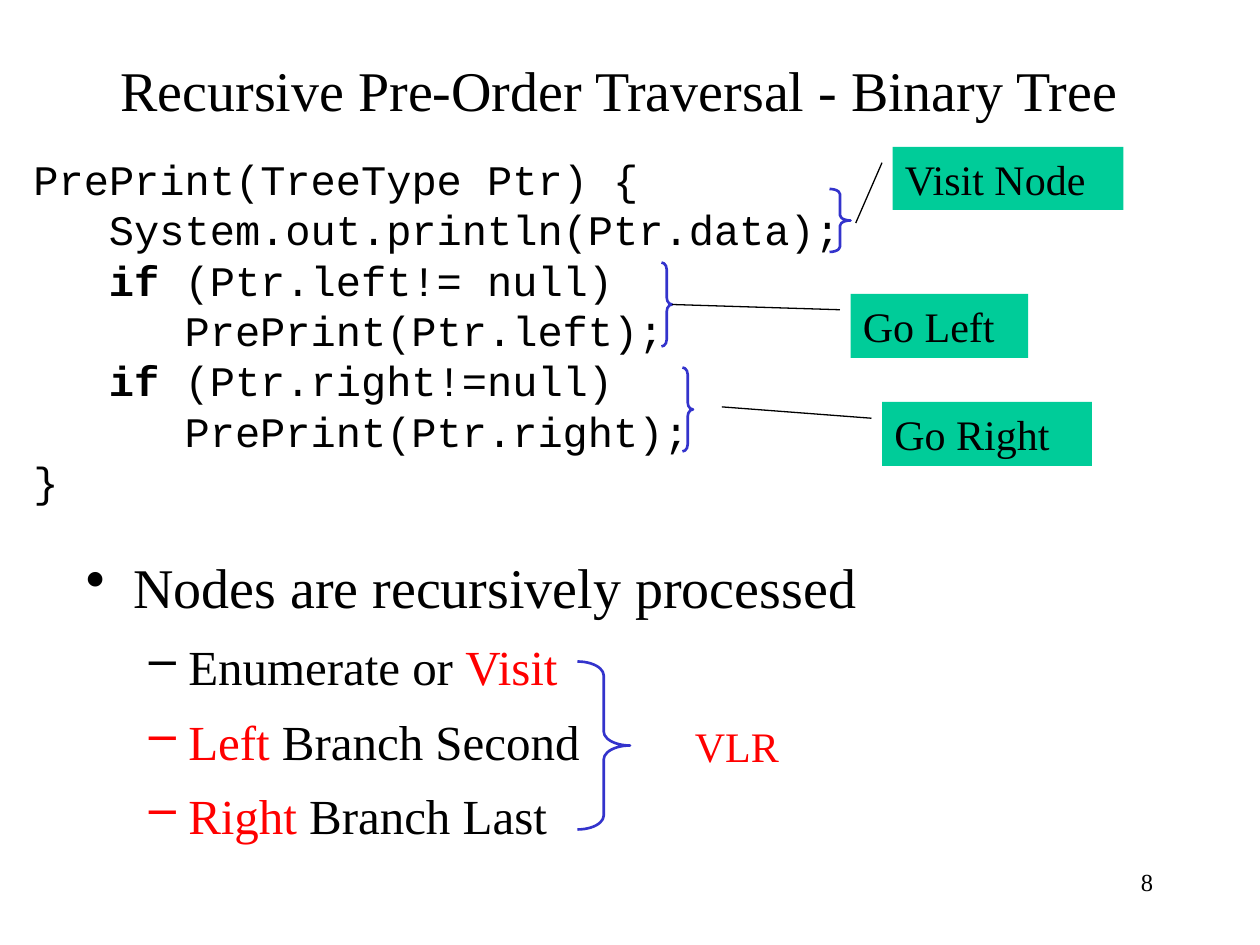
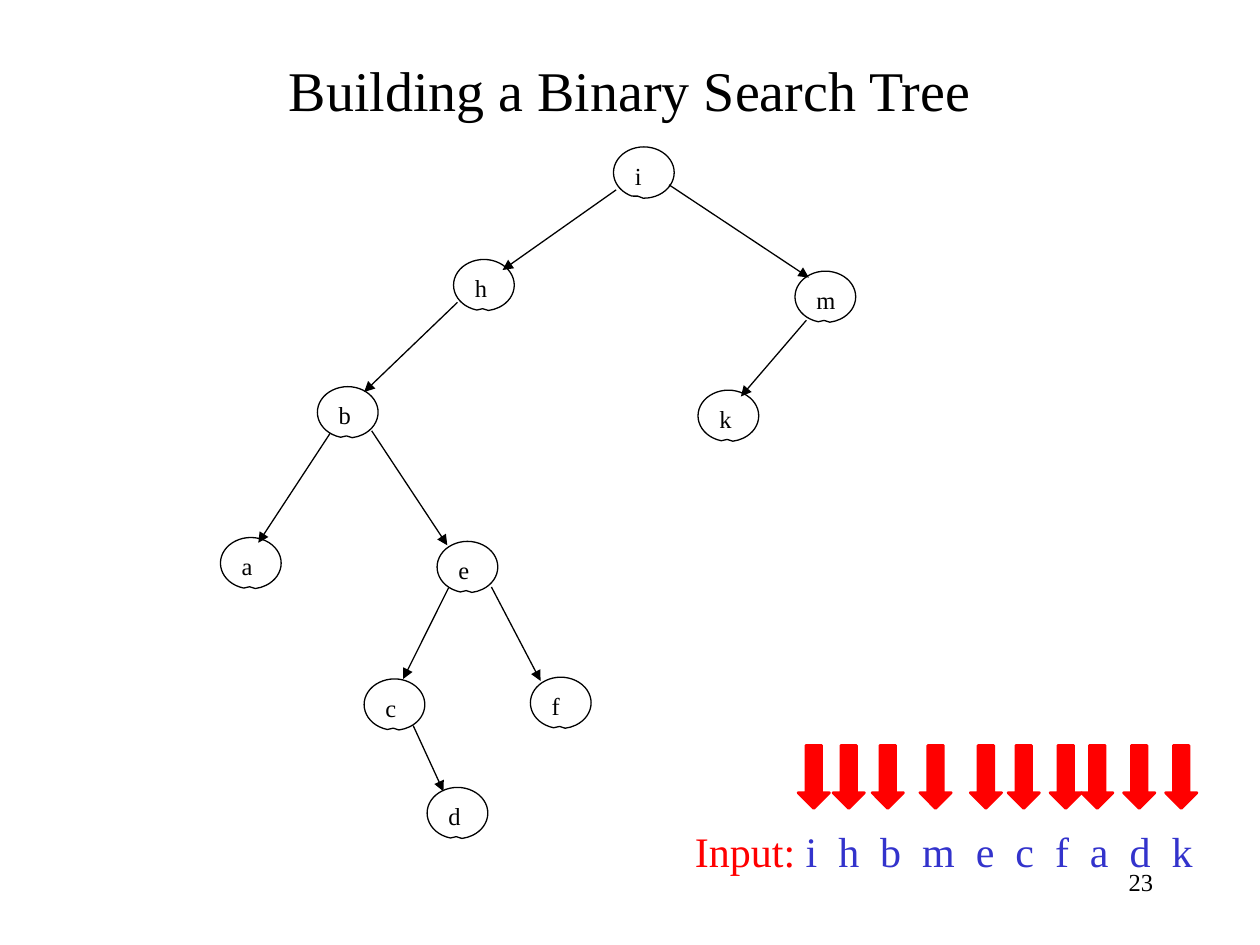
from lxml import etree
from pptx import Presentation
from pptx.dml.color import RGBColor
from pptx.enum import shapes, text
from pptx.oxml import ns
from pptx.util import Pt

BLACK = RGBColor(0x00, 0x00, 0x00)
WHITE = RGBColor(0xFF, 0xFF, 0xFF)
RED = RGBColor(0xFF, 0x00, 0x00)
BLUE = RGBColor(0x33, 0x33, 0xCC)
GREEN = RGBColor(0x00, 0xCC, 0x99)
SERIF, MONO = "Times New Roman", "Courier New"
SHAPE = shapes.MSO_SHAPE

CODE_CHAR = 14.4  # width of one 24 pt monospaced character
CODE = [  # indent in characters, runs
    (0, ["PrePrint(TreeType Ptr) {"]),
    (3, ["System.out.println(Ptr.data);"]),
    (3, [("if", {"bold": True}), " (Ptr.left!= null)"]),
    (6, ["PrePrint(Ptr.left);"]),
    (3, [("if", {"bold": True}), " (Ptr.right!=null)"]),
    (6, ["PrePrint(Ptr.right);"]),
    (0, ["}"]),
]
CODE_BRACES = [(366, 66, 6, 48), (462, 24, 12, 36), (378, 126, 6, 48)]
CODE_LABELS = [  # text, box, pointer line; all relative to the code box
    ("Go Left", (474, 84, 101.5, 36.5), (372, 90, 468, 93)),
    ("Go Right", (492, 145.7, 120, 36.5), (400.5, 148.5, 486, 155)),
    ("Visit Node", (498, 0, 132, 36), (477, 43.5, 492, 9)),
]
BRANCHES = [
    ["Enumerate or ", ("Visit", {"color": RED})],
    [("Left", {"color": RED}), " Branch Second"],
    [("Right", {"color": RED}), " Branch Last"],
]

NODE_W, NODE_H = 34.7, 29.3
NODES = {
    "i": (224.6, 0), "h": (133.2, 64.3), "m": (328.3, 71),
    "b": (55.4, 137), "k": (272.9, 139), "a": (0, 223.2),
    "e": (123.8, 225.4), "c": (82.1, 304), "f": (177.1, 303),
    "d": (118.1, 366),
}
EDGES = [  # parent, child, start within parent, end within child
    ("i", "h", (1.5, 24.5), (28, 6)),
    ("i", "m", (31.7, 21.6), (7.9, 3.6)),
    ("h", "b", (2.2, 24.5), (26.7, 3)),
    ("m", "k", (6.5, 28), (24.5, 3.6)),
    ("b", "a", (7.2, 26.7), (21.6, 3)),
    ("b", "e", (31, 25.2), (5.8, 2.2)),
    ("e", "c", (6.5, 26.6), (22.3, 0)),
    ("e", "f", (31, 26), (5.8, 2.1)),
    ("c", "d", (28, 26.6), (9.3, 2.2)),
]
INPUT_ARROWS = [66, 86, 108.3, 135.6, 164.4, 186, 210, 228, 252, 276]


def add_run(p, content, size=24, font=SERIF, color=BLACK, bold=False, spacing=0):
    r = p.add_run()
    r.text = content
    r.font.size, r.font.name, r.font.bold = Pt(size), font, bold
    r.font.color.rgb = color
    if spacing:
        r.font._element.set("spc", str(int(spacing * 100)))


def add_paragraph(tf, runs, align="LEFT", indent=0, hanging=0, before=0,
                  line=None, bullet=None, bullet_color=BLACK, **fmt):
    """Add runs, each a string or a (string, format) pair."""
    first = tf.paragraphs[0]
    p = tf.add_paragraph() if first.runs else first
    p.alignment = text.PP_ALIGN[align]
    p.space_before = Pt(before)
    if line:
        p.line_spacing = line
    pr = p._p.get_or_add_pPr()
    pr.set("marL", str(Pt(indent)))
    pr.set("indent", str(Pt(-hanging)))
    if bullet:
        clr = etree.SubElement(pr, ns.qn("a:buClr"))
        etree.SubElement(clr, ns.qn("a:srgbClr"), val=str(bullet_color))
        etree.SubElement(pr, ns.qn("a:buChar"), char=bullet)
    for run in runs:
        content, extra = (run, {}) if isinstance(run, str) else run
        add_run(p, content, **{**fmt, **extra})


def add_box(slide, box, anchor="TOP"):
    tf = slide.shapes.add_textbox(*map(Pt, box)).text_frame
    tf.word_wrap = True
    tf.vertical_anchor = text.MSO_ANCHOR[anchor]
    return tf


def add_shape(slide, kind, box, fill=None, line=None, width=0.75):
    sp = slide.shapes.add_shape(kind, *map(Pt, box))
    sp.shadow.inherit = False
    if fill is None:
        sp.fill.background()
    else:
        sp.fill.solid()
        sp.fill.fore_color.rgb = fill
    if line is None:
        sp.line.fill.background()
    else:
        sp.line.color.rgb, sp.line.width = line, Pt(width)
    sp.text_frame.vertical_anchor = text.MSO_ANCHOR.TOP
    return sp


def add_line(slide, ends, arrow=False):
    ln = slide.shapes.add_connector(shapes.MSO_CONNECTOR.STRAIGHT, *map(Pt, ends))
    ln.line.color.rgb, ln.line.width = BLACK, Pt(0.75)
    etree.SubElement(ln._element.spPr, ns.qn("a:effectLst"))
    if arrow:
        etree.SubElement(ln.line._get_or_add_ln(), ns.qn("a:tailEnd"), type="triangle")


def add_brace(slide, box):
    """Draw a right brace whose curls are a twelfth of its height."""
    sp = add_shape(slide, SHAPE.RIGHT_BRACE, box, line=BLUE, width=1.5)
    sp.adjustments[0] = box[3] / box[2] / 12


def new_slide(prs, title, number, title_box):
    slide = prs.slides.add_slide(prs.slide_layouts[6])
    add_paragraph(add_box(slide, title_box, "MIDDLE"), [title], "CENTER", size=32)
    add_paragraph(add_box(slide, (516, 492, 150, 36)), [str(number)], "RIGHT", size=14)
    return slide


def add_code(slide, box):
    left, top = box[:2]
    tf = add_box(slide, box)
    for chars, runs in CODE:
        add_paragraph(tf, runs, indent=chars * CODE_CHAR, font=MONO)
    for x, y, w, h in CODE_BRACES:
        add_brace(slide, (left + x, top + y, w, h))
    for label, (x, y, w, h), (x1, y1, x2, y2) in CODE_LABELS:
        sp = add_shape(slide, SHAPE.RECTANGLE, (left + x, top + y, w, h), GREEN)
        add_paragraph(sp.text_frame, [label])
        add_line(slide, (left + x1, top + y1, left + x2, top + y2))


def add_summary(slide, box):
    left, top = box[:2]
    tf = add_box(slide, box)
    add_paragraph(tf, ["Nodes are recursively processed"], indent=27, hanging=27,
                  before=20, bullet="•", size=32)
    for runs in BRANCHES:
        starts_red = not isinstance(runs[0], str)
        add_paragraph(tf, runs, indent=58.5, hanging=22.5, before=17.5, line=0.75,
                      bullet="–", bullet_color=RED if starts_red else BLACK, size=28)
    add_brace(slide, (left + 288, top + 66, 30, 96))
    add_paragraph(add_box(slide, (left + 348, top + 96, 66, 36)), ["VLR"], color=RED)


def add_tree(slide, left, top):
    for name, (x, y) in NODES.items():
        sp = add_shape(slide, SHAPE.OVAL_CALLOUT,
                       (left + x, top + y, NODE_W, NODE_H), WHITE, BLACK)
        sp.adjustments[0] = -0.1 if name == "i" else -0.02
        sp.adjustments[1] = 0.46
        add_paragraph(sp.text_frame, [name], size=14)
    for parent, child, start, end in EDGES:
        ends = [origin + node + offset
                for key, point in ((parent, start), (child, end))
                for origin, node, offset in zip((left, top), NODES[key], point)]
        add_line(slide, ends, arrow=True)


def add_input(slide, box):
    left, top = box[:2]
    # Letter spacing doubles the gaps between the keys.
    keys = ("i h b m e c f a d k", {"color": BLUE, "spacing": 3})
    add_paragraph(add_box(slide, box, "MIDDLE"), [("Input: ", {"color": RED}), keys])
    for x in INPUT_ARROWS:
        add_shape(slide, SHAPE.DOWN_ARROW, (left + x, top - 42, 18, 36), RED, RED, 1.5)


def main():
    prs = Presentation()
    prs.slide_width, prs.slide_height = Pt(720), Pt(540)

    slide = new_slide(prs, "Recursive Pre-Order Traversal - Binary Tree", 8,
                      (48, 18, 612, 66))
    add_code(slide, (12, 84, 480, 209))
    add_summary(slide, (42, 312, 612, 192))

    slide = new_slide(prs, "Building a Binary Search Tree", 23, (54, 24, 612, 54))
    add_tree(slide, 126, 84)
    add_input(slide, (390, 468, 306, 36))

    prs.save("out.pptx")


if __name__ == "__main__":
    main()
